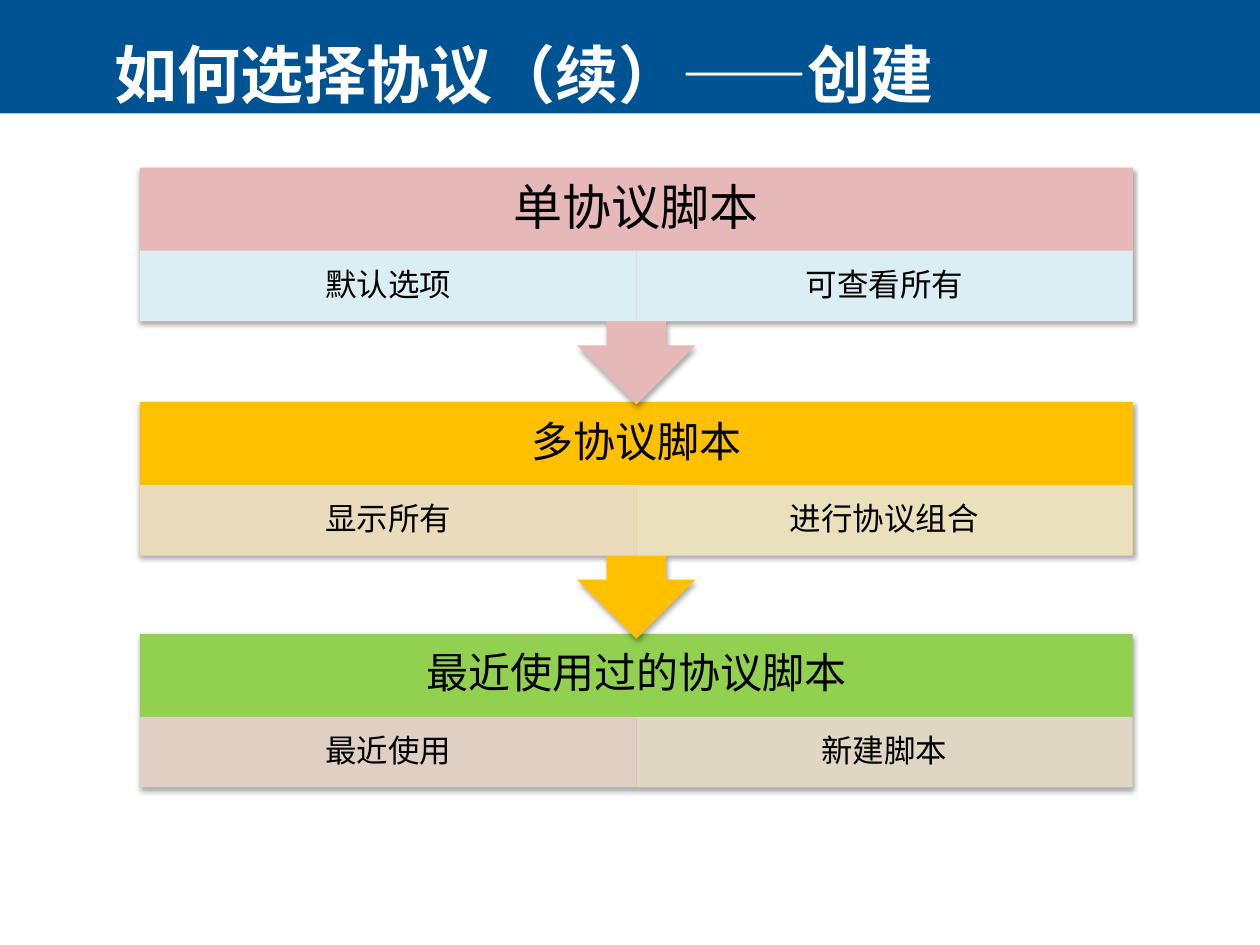
"""Build a slide of three protocol script choices linked by arrow callouts."""
from lxml.etree import SubElement
from pptx import Presentation
from pptx.dml.color import RGBColor
from pptx.enum.shapes import MSO_SHAPE as Shape
from pptx.enum.text import MSO_ANCHOR as Anchor, PP_ALIGN as Align
from pptx.oxml.ns import qn
from pptx.util import Inches, Pt

WHITE = RGBColor(0xFF, 0xFF, 0xFF)
BLACK = RGBColor(0, 0, 0)
BLUE = RGBColor(0x00, 0x53, 0x92)
PINK = RGBColor(0xE6, 0xB9, 0xB8)
AMBER = RGBColor(0xFF, 0xC0, 0x00)
GREEN = RGBColor(0x92, 0xD0, 0x50)
PALE_BLUE = RGBColor(0xDB, 0xEE, 0xF4)
SAND = RGBColor(0xE8, 0xDE, 0xD1)
STRAW = RGBColor(0xE8, 0xE4, 0xD1)
ROSE = RGBColor(0xE8, 0xD0, 0xD0)
BEIGE = RGBColor(0xE8, 0xD7, 0xD0)

BODY_FONT = "Noto Sans CJK SC"
TITLE = "如何选择协议（续）——创建"
STEPS = [
    dict(top=1.33, heading="单协议脚本", size=28, color=PINK, opacity=100,
         options=[("默认选项", PALE_BLUE), ("可查看所有", PALE_BLUE)]),
    dict(top=3.19, heading="多协议脚本", size=24, color=AMBER, opacity=90,
         options=[("显示所有", SAND), ("进行协议组合", STRAW)]),
    dict(top=5.03, heading="最近使用过的协议脚本", size=24, color=GREEN, opacity=90,
         options=[("最近使用", ROSE), ("新建脚本", BEIGE)]),
]

SLIDE_WIDTH, SLIDE_HEIGHT = 10, 7.5
LEFT, WIDTH = 1.11, 7.88
HEADING_HEIGHT, OPTION_HEIGHT = 0.66, 0.56
BLOCK_HEIGHT = HEADING_HEIGHT + OPTION_HEIGHT
CALLOUT_HEIGHT = 1.88


def add_block(slide, kind, box, color, opacity=100):
    shape = slide.shapes.add_shape(kind, *map(Inches, box))
    shape.shadow.inherit = False
    shape.fill.solid()
    shape.fill.fore_color.rgb = color
    shape.line.fill.background()
    if opacity < 100:
        color_element = shape._element.spPr.find(qn("a:solidFill"))[0]
        SubElement(color_element, qn("a:alpha"), val=str(opacity * 1000))
    return shape


def add_shadow(shape):
    effects = shape._element.spPr.find(qn("a:effectLst"))
    shadow = SubElement(effects, qn("a:outerShdw"), blurRad=str(Pt(3.1)),
                        dist=str(Pt(1.8)), dir="5400000", rotWithShape="0")
    color = SubElement(shadow, qn("a:srgbClr"), val="000000")
    SubElement(color, qn("a:alpha"), val="35000")


def write(shape, text, size, color=BLACK, font=BODY_FONT, bold=False,
          anchor=Anchor.MIDDLE, insets=(0, 0)):
    frame = shape.text_frame
    frame.word_wrap = True
    frame.vertical_anchor = anchor
    frame.margin_left = frame.margin_right = Inches(insets[0])
    frame.margin_top = frame.margin_bottom = Inches(insets[1])
    paragraph = frame.paragraphs[0]
    paragraph.alignment = Align.CENTER
    paragraph.line_spacing = 0.9
    run = paragraph.add_run()
    run.text = text
    run.font.name = font
    run.font.size = Pt(size)
    run.font.bold = bold
    run.font.color.rgb = color
    SubElement(run.font._element, qn("a:ea"), typeface=BODY_FONT)


def add_step(slide, step, is_last):
    top = step["top"]
    if is_last:
        block = add_block(slide, Shape.RECTANGLE, (LEFT, top, WIDTH, BLOCK_HEIGHT), step["color"])
    else:
        block = add_block(slide, Shape.UP_ARROW_CALLOUT, (LEFT, top, WIDTH, CALLOUT_HEIGHT), step["color"])
        block.rotation = 180
        block.adjustments[3] = BLOCK_HEIGHT / CALLOUT_HEIGHT
    add_shadow(block)

    heading = slide.shapes.add_textbox(*map(Inches, (LEFT, top, WIDTH, HEADING_HEIGHT)))
    inset = step["size"] / 128
    write(heading, step["heading"], step["size"], insets=(inset, inset))

    option_width = WIDTH / len(step["options"])
    for column, (text, color) in enumerate(step["options"]):
        box = (LEFT + column * option_width, top + HEADING_HEIGHT, option_width, OPTION_HEIGHT)
        option = add_block(slide, Shape.RECTANGLE, box, color, step["opacity"])
        write(option, text, 18, insets=(0.14, 0.03))


def main():
    presentation = Presentation()
    presentation.slide_width = Inches(SLIDE_WIDTH)
    presentation.slide_height = Inches(SLIDE_HEIGHT)
    slide = presentation.slides.add_slide(presentation.slide_layouts[6])
    slide.background.fill.solid()
    slide.background.fill.fore_color.rgb = WHITE

    add_block(slide, Shape.RECTANGLE, (0, 0, SLIDE_WIDTH, 0.9), BLUE)
    title = slide.shapes.add_textbox(*map(Inches, (0.75, 0.35, 6.81, 0.55)))
    write(title, TITLE, 36, WHITE, "Arial", True, Anchor.TOP)

    for step in reversed(STEPS):
        add_step(slide, step, is_last=step is STEPS[-1])
    presentation.save("out.pptx")


if __name__ == "__main__":
    main()
